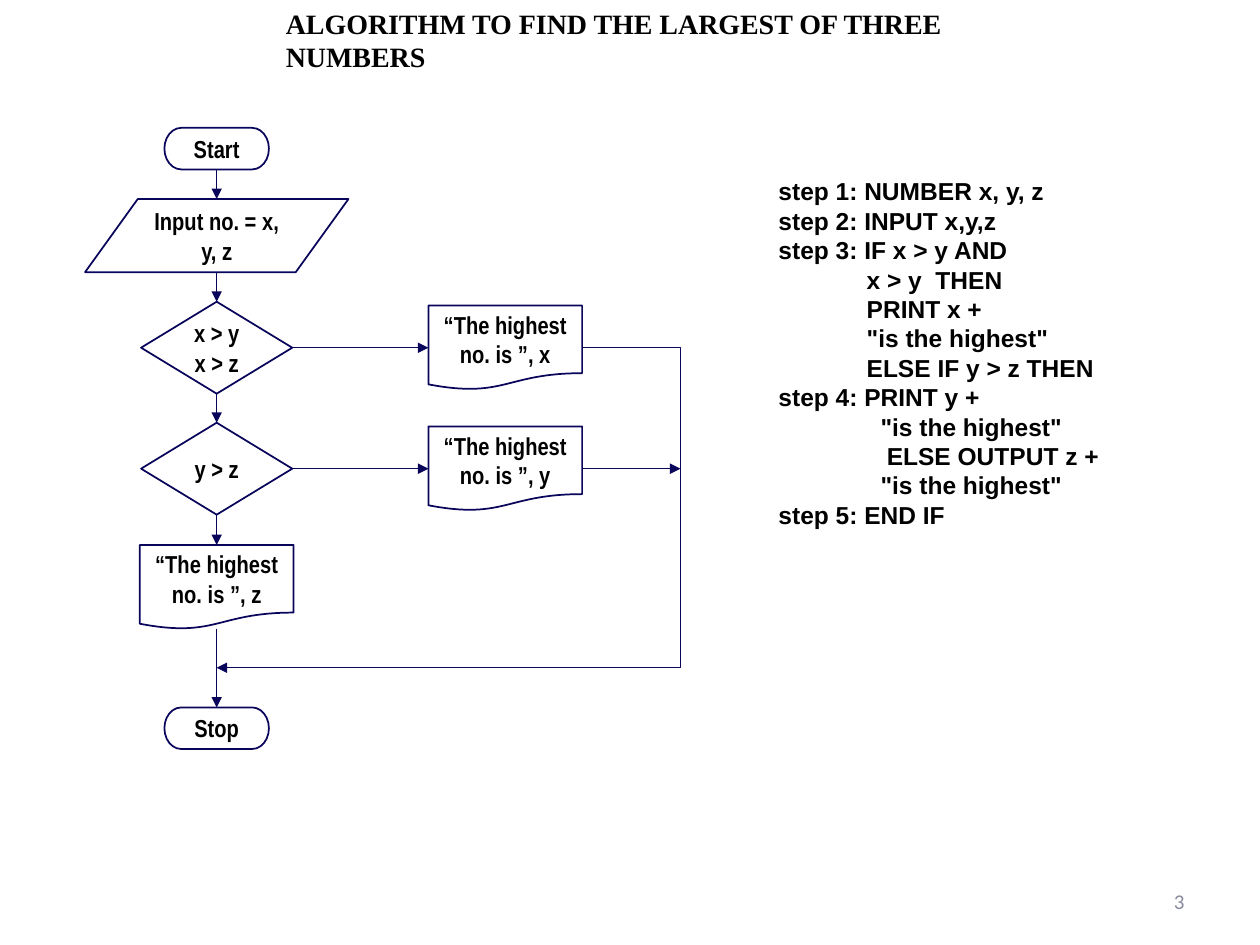
from lxml.etree import SubElement
from pptx import Presentation
from pptx.dml.color import RGBColor
from pptx.enum.shapes import MSO_CONNECTOR as Line, MSO_SHAPE as Shape
from pptx.enum.text import MSO_ANCHOR as Anchor, PP_ALIGN as Align
from pptx.oxml.ns import qn
from pptx.util import Inches, Pt

NAVY, BLACK, WHITE, GREY = "09055B", "000000", "FFFFFF", "888A9C"
MAIN_X, PRINT_X, RETURN_X = 1.72, 4.01, 5.4
MERGE_Y = 5.3
TERMINATOR = (Shape.FLOWCHART_TERMINATOR, 0.83, 0.33)
INPUT = (Shape.FLOWCHART_DATA, 2.09, 0.58)
DECISION = (Shape.FLOWCHART_DECISION, 1.2, 0.73)
DOCUMENT = (Shape.FLOWCHART_DOCUMENT, 1.22, 0.67)
TOP, LEFT, BOTTOM, RIGHT = range(4)

STEPS = [
    (0, "step 1: NUMBER x, y, z"),
    (0, "step 2: INPUT x,y,z"),
    (0, "step 3: IF x > y AND"),
    (0.7, "x > y\u00a0\u00a0THEN"),
    (0.7, "PRINT x +"),
    (0.7, '"is the highest"'),
    (0.7, "ELSE IF y > z THEN"),
    (0, "step 4: PRINT y +"),
    (0.81, '"is the highest"'),
    (0.86, "ELSE OUTPUT z +"),
    (0.81, '"is the highest"'),
    (0, "step 5: END IF"),
]


def rgb(color):
    return RGBColor.from_string(color)


def write(tf, lines, size, font, color=BLACK, bold=True, align=Align.LEFT):
    tf.word_wrap = True
    for i, (indent, text) in enumerate(lines):
        p = tf.paragraphs[0] if i == 0 else tf.add_paragraph()
        p.text = text
        p.alignment = align
        p.font.size = Pt(size)
        p.font.name = font
        p.font.bold = bold
        p.font.color.rgb = rgb(color)
        if indent:
            p._p.get_or_add_pPr().set("marL", str(Inches(indent)))


def add_text(s, box, lines, size, font, **style):
    tf = s.shapes.add_textbox(*map(Inches, box)).text_frame
    write(tf, lines, size, font, **style)
    return tf


def add_node(s, kind, cx, cy, *lines):
    preset, w, h = kind
    sp = s.shapes.add_shape(preset, Inches(cx - w / 2), Inches(cy - h / 2),
                            Inches(w), Inches(h))
    sp.shadow.inherit = False
    sp.fill.solid()
    sp.fill.fore_color.rgb = rgb(WHITE)
    sp.line.color.rgb = rgb(NAVY)
    sp.line.width = Pt(1)
    sp.text_frame.vertical_anchor = Anchor.MIDDLE
    write(sp.text_frame, [(0, line) for line in lines], 14, "Arial Narrow",
          align=Align.CENTER)
    return sp


def add_arrow(s, begin, end, source=None, target=None, kind=Line.STRAIGHT):
    c = s.shapes.add_connector(kind, *map(Inches, begin + end))
    c.line.color.rgb = rgb(NAVY)
    c.line.width = Pt(0.75)
    SubElement(c.line._get_or_add_ln(), qn("a:tailEnd"), type="triangle")
    SubElement(c._element.spPr, qn("a:effectLst"))
    if source:
        c.begin_connect(*source)
    if target:
        c.end_connect(*target)
    return c


def add_return_path(s, begin, end):
    c = add_arrow(s, begin, end, kind=Line.ELBOW)
    geom = c._element.spPr.find(qn("a:prstGeom"))
    av = geom.find(qn("a:avLst"))
    if av is None:
        av = SubElement(geom, qn("a:avLst"))
    bend = round((begin[0] - RETURN_X) / (begin[0] - end[0]) * 100000)
    SubElement(av, qn("a:gd"), name="adj1", fmla=f"val {bend}")


def add_flowchart(s):
    start = add_node(s, TERMINATOR, MAIN_X, 1.18, "Start")
    add_node(s, INPUT, MAIN_X, 1.87, "Input no. = x, y, z")
    test_x = add_node(s, DECISION, MAIN_X, 2.76, "x > y", "x > z")
    test_y = add_node(s, DECISION, MAIN_X, 3.72, "y > z")
    print_z = add_node(s, DOCUMENT, MAIN_X, 4.66, "“The highest no. is ”, z")
    stop = add_node(s, TERMINATOR, MAIN_X, 5.78, "Stop")
    print_x = add_node(s, DOCUMENT, PRINT_X, 2.76, "“The highest no. is ”, x")
    print_y = add_node(s, DOCUMENT, PRINT_X, 3.72, "“The highest no. is ”, y")

    down = [
        (1.35, 1.58, (start, BOTTOM), None),
        (2.16, 2.39, None, (test_x, TOP)),
        (3.12, 3.36, (test_x, BOTTOM), (test_y, TOP)),
        (4.09, 4.32, (test_y, BOTTOM), (print_z, TOP)),
        (4.99, 5.61, None, (stop, TOP)),
    ]
    for y1, y2, source, target in down:
        add_arrow(s, (MAIN_X, y1), (MAIN_X, y2), source, target)
    for y, test, result in ((2.76, test_x, print_x), (3.72, test_y, print_y)):
        add_arrow(s, (2.32, y), (3.4, y), (test, RIGHT), (result, LEFT))
    add_return_path(s, (4.62, 2.76), (MAIN_X, MERGE_Y))
    add_arrow(s, (4.62, 3.72), (RETURN_X, 3.72), (print_y, RIGHT))


def main():
    prs = Presentation()
    prs.slide_width, prs.slide_height = Inches(10), Inches(7.5)
    s = prs.slides.add_slide(prs.slide_layouts[6])
    number = add_text(s, (7.17, 6.95, 2.33, 0.4), [(0, "3")], 12, "Calibri",
                      color=GREY, bold=False, align=Align.RIGHT)
    number.vertical_anchor = Anchor.MIDDLE
    add_text(s, (2.17, 0, 5.88, 0.63),
             [(0, "ALGORITHM TO FIND THE LARGEST OF THREE NUMBERS")],
             16, "Times New Roman")
    add_flowchart(s)
    add_text(s, (6.08, 1.35, 2.91, 3.36), STEPS, 14, "Arial")
    prs.save("out.pptx")


if __name__ == "__main__":
    main()
